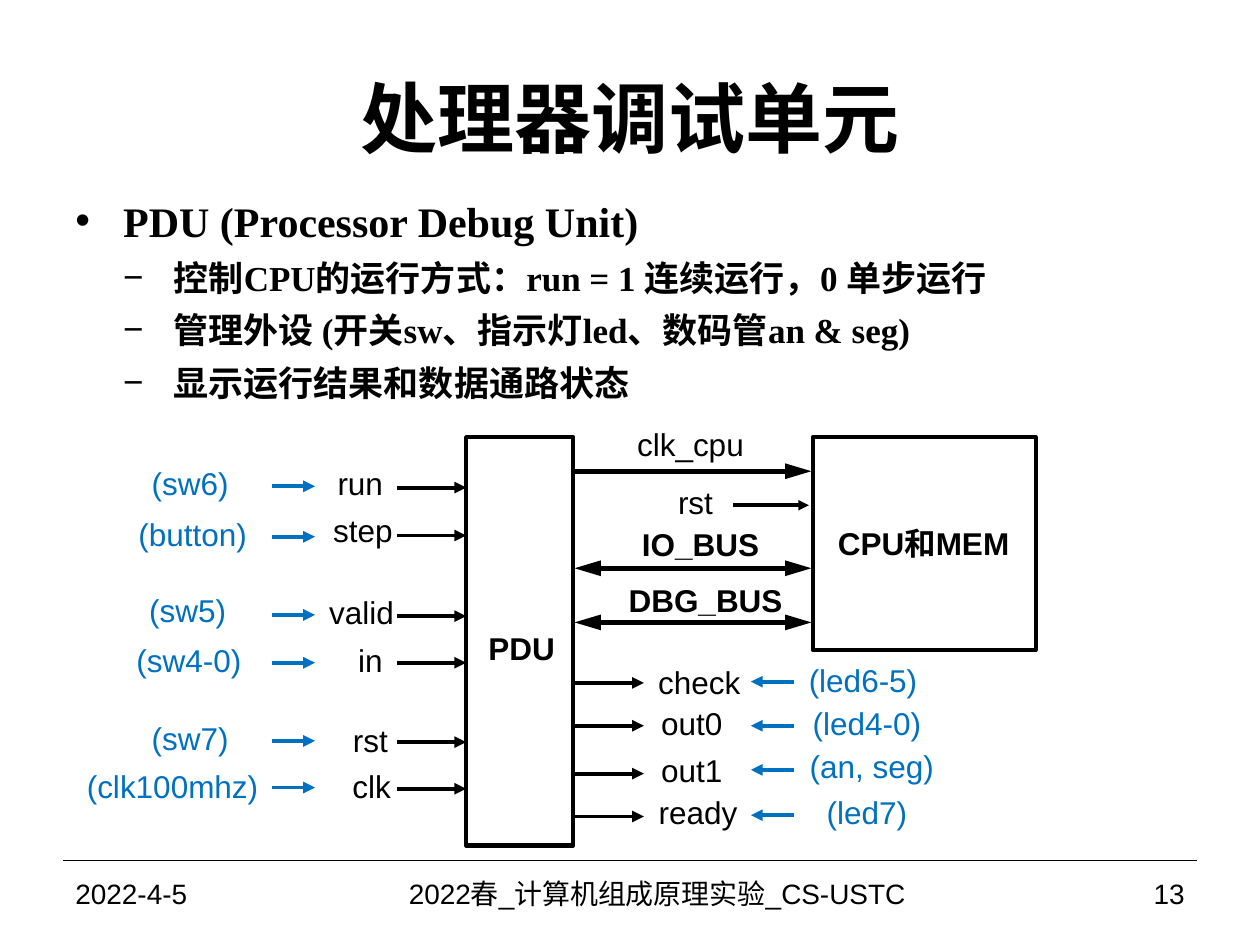
"""Build the processor debug unit slide with its signal diagram."""
from dataclasses import dataclass
from typing import NamedTuple

from lxml.etree import SubElement
from pptx import Presentation
from pptx.dml.color import RGBColor
from pptx.enum.shapes import MSO_CONNECTOR, MSO_SHAPE
from pptx.enum.text import MSO_ANCHOR, PP_ALIGN
from pptx.oxml.ns import qn
from pptx.slide import Slide
from pptx.text.text import TextFrame, _Paragraph
from pptx.util import Emu, Pt

EMU_PER_PX = 9144


@dataclass(frozen=True)
class Theme:
    black: RGBColor = RGBColor(0, 0, 0)
    blue: RGBColor = RGBColor(0x00, 0x70, 0xC0)
    sans: str = "Arial"
    serif: str = "Times New Roman"
    title: int = 44
    bullet: int = 24
    sub_bullet: int = 20
    label: int = 18
    footer: int = 16


class Bullet(NamedTuple):
    text: str
    level: int


class Signal(NamedTuple):
    name: str
    name_x: int
    name_y: int
    wire_y: int
    pin: str
    pin_x: int
    pin_y: int
    pin_wire_y: int


class Bus(NamedTuple):
    name: str
    name_x: int
    name_y: int
    wire_y: int
    start_x: int = 456
    end_x: int = 644
    width: float = 3
    both_ways: bool = False


class Footer(NamedTuple):
    text: str
    x: int
    w: int
    align: PP_ALIGN


THEME = Theme()
BULLETS = [
    Bullet("PDU (Processor Debug Unit)", 0),
    Bullet("控制CPU的运行方式：run = 1 连续运行，0 单步运行", 1),
    Bullet("管理外设 (开关sw、指示灯led、数码管an & seg)", 1),
    Bullet("显示运行结果和数据通路状态", 1),
]
INPUTS = [
    Signal("run", 286, 383, 387, "(sw6)", 151, 383, 386),
    Signal("step", 288, 421, 425, "(button)", 153, 424, 426),
    Signal("valid", 287, 486, 489, "(sw5)", 149, 484, 488),
    Signal("in", 294, 524, 526, "(sw4-0)", 150, 524, 526),
    Signal("rst", 294, 587, 589, "(sw7)", 151, 586, 588),
    Signal("clk", 295, 624, 626, "(clk100mhz)", 137, 624, 625),
]
OUTPUTS = [
    Signal("check", 555, 541, 542, "(led6-5)", 685, 540, 541),
    Signal("out0", 549, 574, 576, "(led4-0)", 688, 574, 576),
    Signal("out1", 549, 611, 614, "(an, seg)", 692, 608, 611),
    Signal("ready", 554, 644, 648, "(led7)", 688, 644, 647),
]
BUSES = [
    Bus("clk_cpu", 548, 352, 374),
    Bus("rst", 552, 398, 401, 582, 642, 2),
    Bus("IO_BUS", 556, 432, 451, both_ways=True),
    Bus("DBG_BUS", 560, 476, 494, both_ways=True),
]
FOOTERS = [
    Footer("2022-4-5", 50, 233, PP_ALIGN.LEFT),
    Footer("2022春_计算机组成原理实验_CS-USTC", 280, 483, PP_ALIGN.CENTER),
    Footer("13", 767, 183, PP_ALIGN.RIGHT),
]


def px(n: int) -> Emu:
    return Emu(n * EMU_PER_PX)


def style(p: _Paragraph, size: int, bold: bool = False,
          color: RGBColor = THEME.black, font: str = THEME.sans) -> None:
    for r in p.runs:
        r.font.name, r.font.size, r.font.bold = font, Pt(size), bold
        r.font.color.rgb = color


def add_text(s: Slide, x: int, y: int, w: int, h: int, text: str,
             align: PP_ALIGN = PP_ALIGN.CENTER, wrap: bool = True) -> TextFrame:
    tf = s.shapes.add_textbox(px(x), px(y), px(w), px(h)).text_frame
    tf.word_wrap = wrap
    tf.vertical_anchor = MSO_ANCHOR.MIDDLE
    tf.text = text
    tf.paragraphs[0].alignment = align
    return tf


def add_label(s: Slide, x: int, y: int, text: str,
              color: RGBColor = THEME.black, bold: bool = False) -> None:
    w, h = 170, 30
    tf = add_text(s, x - w // 2, y - h // 2, w, h, text, wrap=False)
    tf.margin_left = tf.margin_right = tf.margin_top = tf.margin_bottom = 0
    style(tf.paragraphs[0], THEME.label, bold, color)


def add_line(s: Slide, x1: int, x2: int, y: int, width: float = 2.25,
             color: RGBColor = THEME.black, ends: tuple[str, ...] = ("tailEnd",),
             length: str = "med") -> None:
    c = s.shapes.add_connector(MSO_CONNECTOR.STRAIGHT, px(x1), px(y), px(x2), px(y))
    c.line.color.rgb = color
    c.line.width = Pt(width)
    sp_pr = c._element.spPr
    for end in ends:
        SubElement(sp_pr.find(qn("a:ln")), qn(f"a:{end}"),
                   type="triangle", w="med", len=length)
    SubElement(sp_pr, qn("a:effectLst"))


def add_block(s: Slide, x: int, y: int, w: int, h: int, width: float) -> None:
    sp = s.shapes.add_shape(MSO_SHAPE.RECTANGLE, px(x), px(y), px(w), px(h))
    sp.shadow.inherit = False
    sp.fill.background()
    sp.line.color.rgb = THEME.black
    sp.line.width = Pt(width)


def add_bullets(s: Slide, bullets: list[Bullet]) -> None:
    tf = add_text(s, 50, 150, 883, 178, bullets[0].text, PP_ALIGN.LEFT)
    tf.vertical_anchor = MSO_ANCHOR.TOP
    levels = [("•", 38, 38, THEME.bullet), ("−", 78, 40, THEME.sub_bullet)]
    for i, b in enumerate(bullets):
        p = tf.add_paragraph() if i else tf.paragraphs[0]
        p.text, p.level = b.text, b.level
        char, margin, hang, size = levels[b.level]
        p_pr = p._p.get_or_add_pPr()
        p_pr.set("marL", str(px(margin)))
        p_pr.set("indent", str(-px(hang)))
        SubElement(p_pr, qn("a:buFont"), typeface=THEME.sans)
        SubElement(p_pr, qn("a:buChar"), char=char)
        if i:
            p.space_before = Pt(6)
        style(p, size, True, font=THEME.serif)


def add_signals(s: Slide, signals: list[Signal], wire: tuple[int, int],
                pin_wire: tuple[int, int]) -> None:
    for sig in signals:
        add_label(s, sig.name_x, sig.name_y, sig.name)
        add_line(s, *wire, sig.wire_y)
        add_label(s, sig.pin_x, sig.pin_y, sig.pin, THEME.blue)
        add_line(s, *pin_wire, sig.pin_wire_y, color=THEME.blue)


def add_bus(s: Slide, bus: Bus) -> None:
    add_label(s, bus.name_x, bus.name_y, bus.name, bold=bus.both_ways)
    ends = ("headEnd", "tailEnd") if bus.both_ways else ("tailEnd",)
    add_line(s, bus.start_x, bus.end_x, bus.wire_y, bus.width, ends=ends,
             length="lg" if bus.width == 3 else "med")


def main() -> None:
    prs = Presentation()
    prs.slide_width, prs.slide_height = px(1000), px(750)
    s = prs.slides.add_slide(prs.slide_layouts[6])
    add_line(s, 50, 950, 683, 0.75, ends=())
    tf = add_text(s, 50, 30, 900, 125, "处理器调试单元")
    style(tf.paragraphs[0], THEME.title, True)
    add_bullets(s, BULLETS)
    for f in FOOTERS:
        tf = add_text(s, f.x, 683, f.w, 52, f.text, f.align)
        style(tf.paragraphs[0], THEME.footer)
    add_block(s, 370, 347, 85, 324, 2.5)
    add_label(s, 414, 514, "PDU", bold=True)
    add_block(s, 645, 347, 177, 169, 2.25)
    add_label(s, 733, 431, "CPU和MEM", bold=True)
    for bus in BUSES:
        add_bus(s, bus)
    add_signals(s, INPUTS, (315, 370), (216, 250))
    add_signals(s, OUTPUTS, (456, 511), (630, 596))
    prs.save("out.pptx")


if __name__ == "__main__":
    main()
